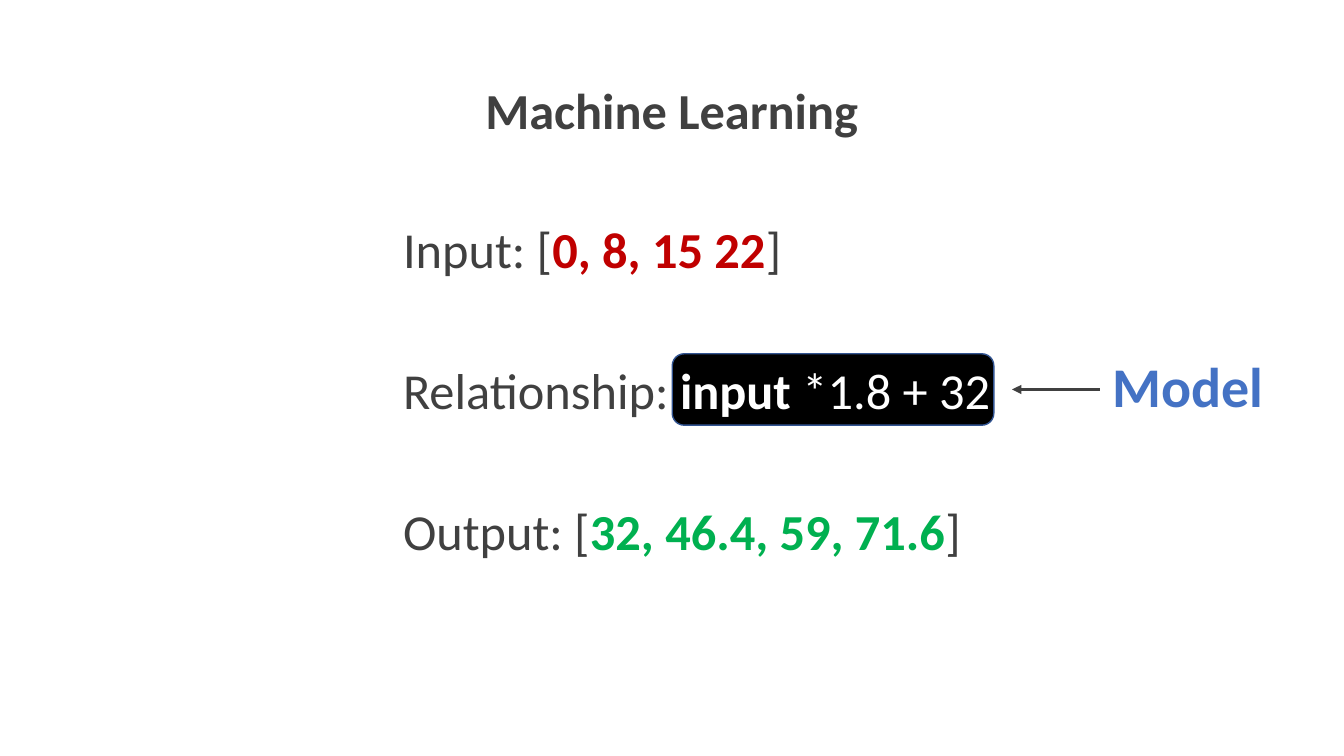
"""Build the machine learning slide with its input, relationship and output."""
from lxml import etree
from pptx import Presentation
from pptx.dml.color import RGBColor
from pptx.enum import shapes, text
from pptx.oxml import ns
from pptx.util import Pt

COLORS = {"text": "404040", "input": "C00000", "output": "00B050", "formula": "FFFFFF",
          "model": "4472C4", "box": "000000", "box_line": "325491"}
FONT = "Calibri"
LEFT, TOP, PITCH, HEIGHT = 280.8, 151.9, 100.8, 51

ROWS = [
    (325.4, [("Input: [", "text", False), ("0, 8, 15 22", "input", True), ("]", "text", False)]),
    (576.7, [("Relationship: ", "text", False), ("input", "formula", True),
             (" *1.8 + 32", "formula", False)]),
    (419, [("Output: [", "text", False), ("32, 46.4, 59, 71.6", "output", True),
           ("]", "text", False)]),
]
TITLE = [("Machine Learning", "text", True)]
MODEL = [("Model", "model", True)]


def color(name):
    return RGBColor.from_string(COLORS[name])


def add_label(slide, left, top, width, height, runs, size=36, centered=False, wrap=True):
    shape = slide.shapes.add_textbox(Pt(left), Pt(top), Pt(width), Pt(height))
    frame = shape.text_frame
    frame.word_wrap = wrap
    frame.auto_size = text.MSO_AUTO_SIZE.SHAPE_TO_FIT_TEXT
    paragraph = frame.paragraphs[0]
    paragraph.alignment = text.PP_ALIGN.CENTER if centered else text.PP_ALIGN.LEFT
    for words, color_name, bold in runs:
        run = paragraph.add_run()
        run.text = words
        run.font.name = FONT
        run.font.size = Pt(size)
        run.font.bold = bold
        run.font.color.rgb = color(color_name)


def add_formula_box(slide, left, top, width, height):
    shape = slide.shapes.add_shape(shapes.MSO_SHAPE.ROUNDED_RECTANGLE,
                                   Pt(left), Pt(top), Pt(width), Pt(height))
    shape.shadow.inherit = False
    shape.fill.solid()
    shape.fill.fore_color.rgb = color("box")
    shape.line.color.rgb = color("box_line")
    shape.line.width = Pt(1)


def add_arrow(slide, start, end, y):
    arrow = slide.shapes.add_connector(shapes.MSO_CONNECTOR.STRAIGHT,
                                       Pt(start), Pt(y), Pt(end), Pt(y))
    arrow.line.color.rgb = color("text")
    arrow.line.width = Pt(2.25)
    etree.SubElement(arrow.line._get_or_add_ln(), ns.qn("a:tailEnd"), type="triangle")
    etree.SubElement(arrow._element.spPr, ns.qn("a:effectLst"))


def main():
    presentation = Presentation()
    presentation.slide_width, presentation.slide_height = Pt(960), Pt(540)
    slide = presentation.slides.add_slide(presentation.slide_layouts[6])
    formula_top = TOP + PITCH
    add_formula_box(slide, 480.2, formula_top, 229.7, HEIGHT)
    add_label(slide, 214.6, 53.3, 530.6, HEIGHT, TITLE, centered=True)
    for index, (width, runs) in enumerate(ROWS):
        add_label(slide, LEFT, TOP + index * PITCH, width, HEIGHT, runs)
    add_arrow(slide, 785.5, 722.9, formula_top + HEIGHT / 2)
    add_label(slide, 787.7, 247.7, 123.8, 55.4, MODEL, size=40, wrap=False)
    presentation.save("out.pptx")


if __name__ == "__main__":
    main()
